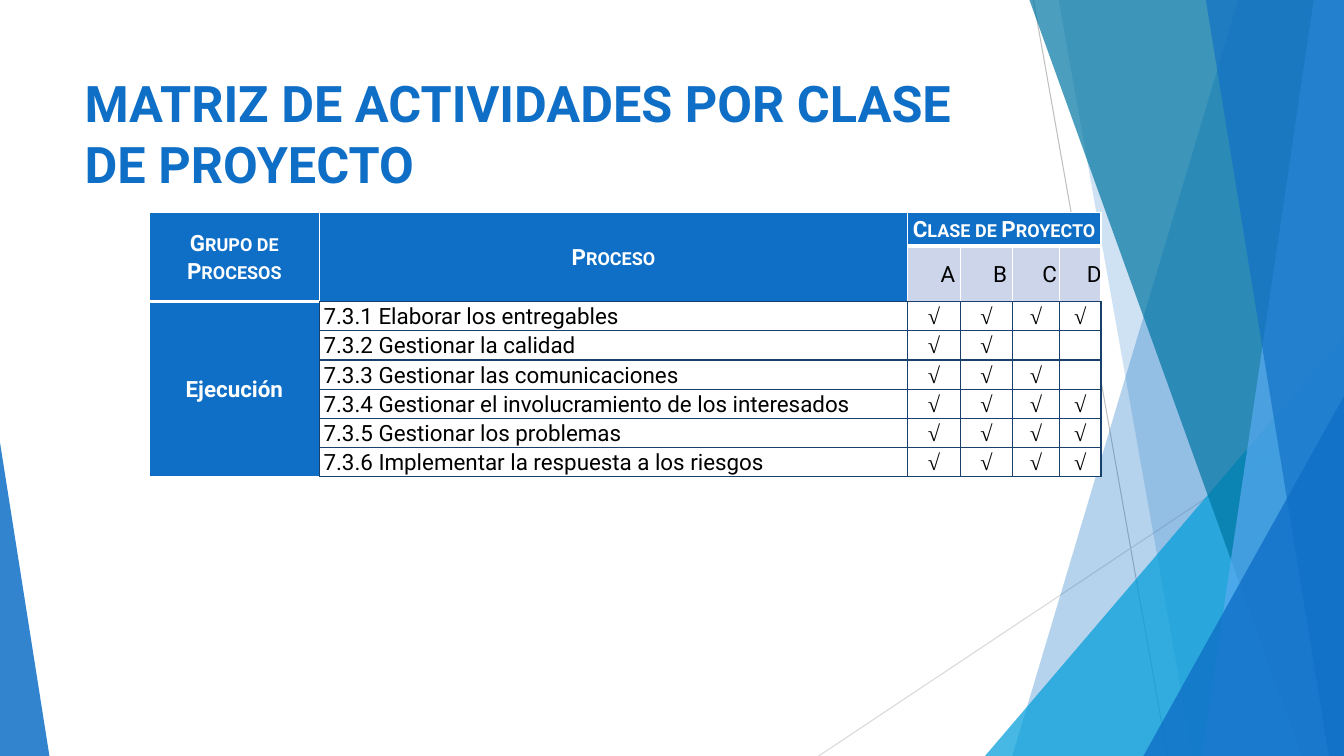
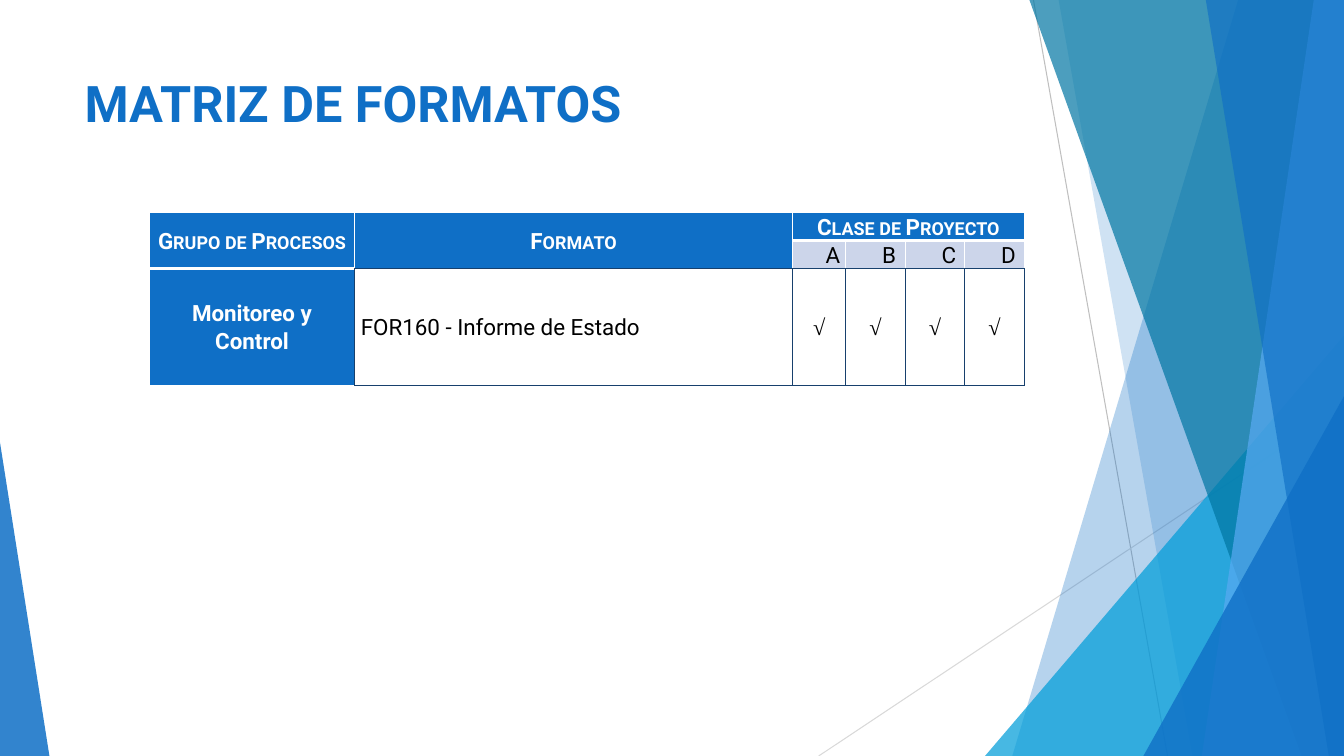
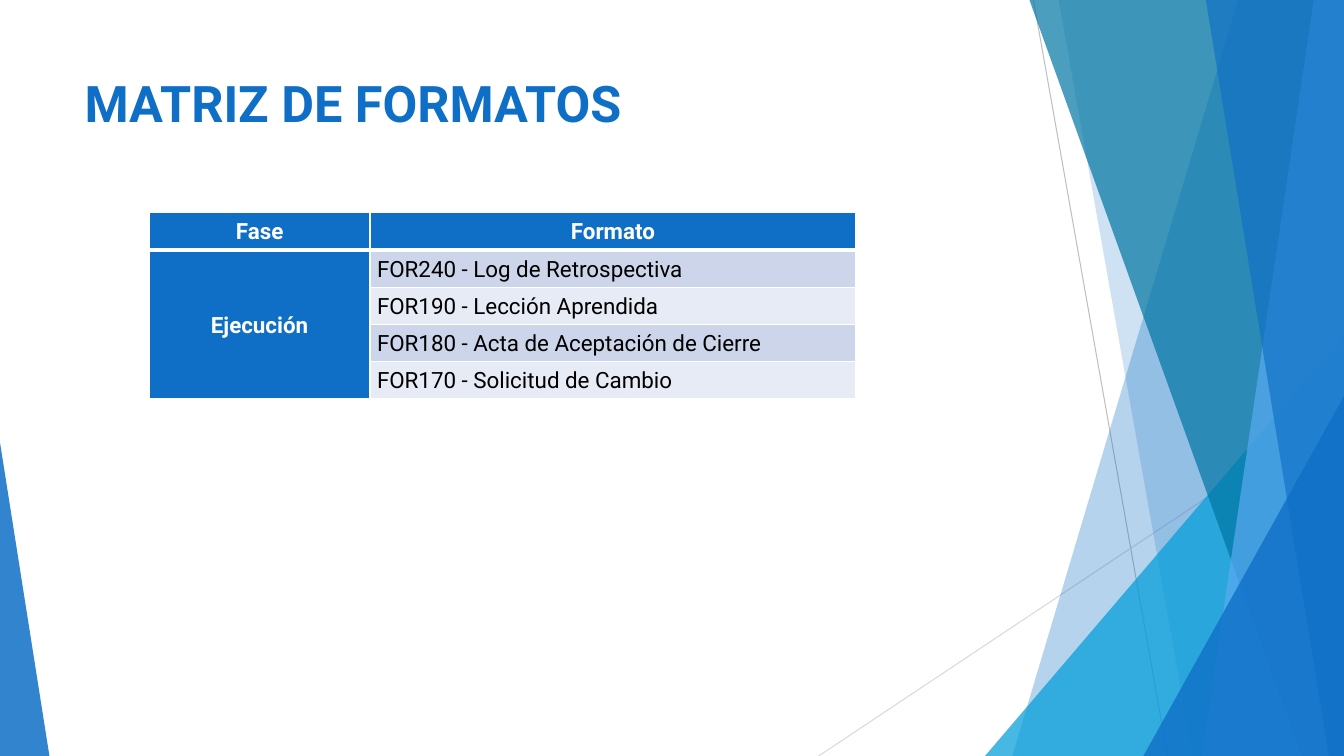
import dataclasses

import pptx
import pptx.dml.color
import pptx.enum.shapes
import pptx.enum.text
import pptx.oxml
import pptx.oxml.ns
import pptx.util

Inches, Pt = pptx.util.Inches, pptx.util.Pt
RGBColor = pptx.dml.color.RGBColor
MSO_SHAPE = pptx.enum.shapes.MSO_SHAPE
PP_ALIGN = pptx.enum.text.PP_ALIGN
MSO_ANCHOR = pptx.enum.text.MSO_ANCHOR

BLUE = RGBColor(0x0F, 0x6F, 0xC6)
CYAN = RGBColor(0x00, 0x9D, 0xD9)
TEAL = RGBColor(0x00, 0x76, 0xA3)
SKY = RGBColor(0x59, 0xAA, 0xF2)
NAVY = RGBColor(0x17, 0x40, 0x6D)
LAVENDER = RGBColor(0xCC, 0xD5, 0xEA)
PALE = RGBColor(0xE7, 0xEB, 0xF5)
GREY = RGBColor(0xBF, 0xBF, 0xBF)
LIGHT_GREY = RGBColor(0xD9, 0xD9, 0xD9)
WHITE = RGBColor(0xFF, 0xFF, 0xFF)
BLACK = RGBColor(0, 0, 0)

WIDTH, HEIGHT = 13.33, 7.5
TABLE_LEFT, TABLE_TOP = 1.48, 2.11
FONT = "Roboto"
CLASSES = "ABCD"

# Start and end of each thin line
LINES = [
    ((10.25, 0), (11.58, HEIGHT), GREY),
    ((WIDTH, 4.03), (8.12, HEIGHT), LIGHT_GREY),
]
# Facets from back to front. A band has its left edge at top and bottom;
# a triangle has left, top, width and the place of its tip.
FACETS = [
    ("band", (12.28, 10.04), BLUE, 30),
    ("band", (10.5, 11.83), BLUE, 20),
    ("triangle", (9.77, 3.33, 3.56, 1), CYAN, 72),
    ("band", (10.21, 12.91), TEAL, 70),
    ("band", (13.03, 11.92), SKY, 70),
    ("band", (11.96, 13.18), BLUE, 65),
    ("triangle", (11.34, 3.93, 1.99, 1), BLUE, 80),
    ("triangle", (0, 4.39, 0.49, 0), BLUE, 85),
]

ACTIVITIES = {
    "title": "MATRIZ DE ACTIVIDADES POR CLASE DE PROYECTO",
    "heading": "Proceso",
    "group": "Ejecución",
    "items": [
        ("7.3.1 Elaborar los entregables", "ABCD"),
        ("7.3.2 Gestionar la calidad", "AB"),
        ("7.3.3 Gestionar las comunicaciones", "ABC"),
        ("7.3.4 Gestionar el involucramiento de los interesados", "ABCD"),
        ("7.3.5 Gestionar los problemas", "ABCD"),
        ("7.3.6 Implementar la respuesta a los riesgos", "ABCD"),
    ],
    "cols": [1.69, 5.83, 0.53, 0.51, 0.47, 0.41],
    "rows": [0.33] + [0.29] * 7,
    "pad": 0.04,
}
STATUS_FORMS = {
    "title": "MATRIZ DE FORMATOS",
    "heading": "Formato",
    "group": "Monitoreo y Control",
    "items": [("FOR160 - Informe de Estado", "ABCD")],
    "cols": [2.04, 4.34, 0.53, 0.59, 0.59, 0.59],
    "rows": [0.18, 0.27, 1.16],
    "pad": 0.06,
}
PHASE_FORMS = {
    "title": "MATRIZ DE FORMATOS",
    "headings": ["Fase", "Formato"],
    "group": "Ejecución",
    "items": [
        "FOR240 - Log de Retrospectiva",
        "FOR190 - Lección Aprendida",
        "FOR180 - Acta de Aceptación de Cierre",
        "FOR170 - Solicitud de Cambio",
    ],
    "cols": [2.19, 4.82],
    "rows": [0.37] * 5,
    "pad": 0.07,
}


@dataclasses.dataclass
class CellStyle:
    fill: RGBColor
    color: RGBColor = BLACK
    bold: bool = False
    small_caps: bool = False
    font: str = FONT
    align: PP_ALIGN = PP_ALIGN.CENTER
    indent: float = 0
    padded: bool = True
    # Colour and width of the left, top, right and bottom borders
    borders: tuple = ((WHITE, 1),) * 4


THIN, THICK, DARK = (WHITE, 1), (WHITE, 3), (NAVY, 1)
GROUP = CellStyle(BLUE, WHITE, True)
HEAD = dataclasses.replace(GROUP, borders=(THIN, THIN, THIN, THICK))
CAPS_HEAD = dataclasses.replace(HEAD, small_caps=True)
CLASS_HEAD = dataclasses.replace(CAPS_HEAD, padded=False)
ITEM_HEAD = dataclasses.replace(CAPS_HEAD, borders=(THIN, THIN, THIN, DARK))
LETTER = CellStyle(LAVENDER, indent=0.13, padded=False, small_caps=True,
                   borders=(THIN, THIN, THIN, DARK))
MATRIX_GROUP = dataclasses.replace(GROUP, borders=(THIN, THIN, DARK, THIN))
ITEM = CellStyle(WHITE, align=PP_ALIGN.LEFT, borders=(DARK,) * 4)
CHECK = CellStyle(WHITE, font="Times New Roman", padded=False, borders=(DARK,) * 4)
BANDS = [CellStyle(fill, align=PP_ALIGN.LEFT) for fill in (LAVENDER, PALE)]


def add_band(s, top_x, bottom_x):
    builder = s.shapes.build_freeform(Inches(top_x), 0)
    corners = [(WIDTH, 0), (WIDTH, HEIGHT), (bottom_x, HEIGHT)]
    builder.add_line_segments([(Inches(x), Inches(y)) for x, y in corners])
    return builder.convert_to_shape()


def add_triangle(s, left, top, width, tip):
    triangle = s.shapes.add_shape(
        MSO_SHAPE.ISOSCELES_TRIANGLE,
        Inches(left), Inches(top), Inches(width), Inches(HEIGHT - top))
    triangle.adjustments[0] = tip
    return triangle


def decorate(prs, layout):
    """Draw the facets on a passing slide and move them into the layout."""
    s = prs.slides.add_slide(layout)
    title = s.shapes.title
    drawn = []
    for start, end, color in LINES:
        line = s.shapes.add_connector(
            pptx.enum.shapes.MSO_CONNECTOR.STRAIGHT,
            *(Inches(v) for v in start + end))
        line.line.color.rgb = color
        line.line.width = Pt(0.75)
        pptx.oxml.ns.qn("a:effectLst")
        line.element.spPr.append(pptx.oxml.parse_xml(
            f"<a:effectLst {pptx.oxml.ns.nsdecls('a')}/>"))
        drawn.append(line)
    for kind, geometry, color, opacity in FACETS:
        facet = (add_band if kind == "band" else add_triangle)(s, *geometry)
        facet.shadow.inherit = False
        facet.line.fill.background()
        facet.fill.solid()
        facet.fill.fore_color.rgb = color
        rgb = facet.element.spPr.find(".//" + pptx.oxml.ns.qn("a:srgbClr"))
        rgb.append(pptx.oxml.parse_xml(
            f"<a:alpha {pptx.oxml.ns.nsdecls('a')} val='{opacity * 1000}'/>"))
        drawn.append(facet)
    first = layout.placeholders[0].element
    for shape in drawn:
        first.addprevious(shape.element)
    return s


def set_title(s, text):
    tf = s.shapes.title.text_frame
    tf.text = text
    tf.vertical_anchor = MSO_ANCHOR.TOP
    tf.auto_size = pptx.enum.text.MSO_AUTO_SIZE.NONE
    p = tf.paragraphs[0]
    p.alignment = PP_ALIGN.LEFT
    p.font.name, p.font.size, p.font.bold = FONT, Pt(36), True
    p.font.color.rgb = BLUE


def set_borders(cell, borders):
    tcPr = cell._tc.get_or_add_tcPr()
    for place, (side, (color, width)) in enumerate(zip("LTRB", borders)):
        tcPr.insert(place, pptx.oxml.parse_xml(
            f"<a:ln{side} {pptx.oxml.ns.nsdecls('a')} w='{Pt(width)}'>"
            f"<a:solidFill><a:srgbClr val='{color}'/></a:solidFill></a:ln{side}>"))


def format_cell(cell, text, style, pad):
    side = pad if style.padded else 0
    cell.margin_left, cell.margin_right = Inches(side + style.indent), Inches(side)
    cell.margin_top = cell.margin_bottom = 0
    cell.vertical_anchor = MSO_ANCHOR.MIDDLE
    cell.fill.solid()
    cell.fill.fore_color.rgb = style.fill
    set_borders(cell, style.borders)
    p = cell.text_frame.paragraphs[0]
    p.alignment = style.align
    p.line_spacing = 1.07
    p.font.name, p.font.size, p.font.bold = style.font, Pt(16), style.bold
    p.font.color.rgb = style.color
    if style.small_caps:
        p.font._element.set("cap", "small")
    if text:
        p.add_run().text = text
    else:
        p._p.append(pptx.oxml.parse_xml(
            f"<a:endParaRPr {pptx.oxml.ns.nsdecls('a')} sz='1600'/>"))


def add_grid(s, content, cells):
    """Add a table; each cell is row, column, text, style, rows and columns."""
    cols, rows = content["cols"], content["rows"]
    table = s.shapes.add_table(
        len(rows), len(cols), Inches(TABLE_LEFT), Inches(TABLE_TOP),
        Inches(sum(cols)), Inches(sum(rows))).table
    table.first_row = table.horz_banding = False
    for column, width in zip(table.columns, cols):
        column.width = Inches(width)
    for row, height in zip(table.rows, rows):
        row.height = Inches(height)
    for top, left, text, style, tall, wide in cells:
        for r in range(top, top + tall):
            for c in range(left, left + wide):
                shown = text if (r, c) == (top, left) else ""
                format_cell(table.cell(r, c), shown, style, content["pad"])
        if tall * wide > 1:
            table.cell(top, left).merge(table.cell(top + tall - 1, left + wide - 1))


def class_matrix(content):
    items = content["items"]
    cells = [
        (0, 0, "Grupo de Procesos", CAPS_HEAD, 2, 1),
        (0, 1, content["heading"], ITEM_HEAD, 2, 1),
        (0, 2, "Clase de Proyecto", CLASS_HEAD, 1, len(CLASSES)),
        (2, 0, content["group"], MATRIX_GROUP, len(items), 1),
    ]
    cells += [(1, c, name, LETTER, 1, 1) for c, name in enumerate(CLASSES, 2)]
    for r, (item, marked) in enumerate(items, 2):
        cells.append((r, 1, item, ITEM, 1, 1))
        cells += [(r, c, "√" if name in marked else "", CHECK, 1, 1)
                  for c, name in enumerate(CLASSES, 2)]
    return cells


def phase_list(content):
    items = content["items"]
    cells = [(0, c, text, HEAD, 1, 1) for c, text in enumerate(content["headings"])]
    cells.append((1, 0, content["group"], GROUP, len(items), 1))
    cells += [(r, 1, item, BANDS[(r - 1) % 2], 1, 1)
              for r, item in enumerate(items, 1)]
    return cells


def main():
    prs = pptx.Presentation()
    prs.slide_width, prs.slide_height = Inches(WIDTH), Inches(HEIGHT)
    layout = prs.slide_layouts.get_by_name("Title Only")
    title = layout.placeholders[0]
    title.left, title.top = Inches(0.74), Inches(0.67)
    title.width, title.height = Inches(9.4), Inches(1.44)

    first = decorate(prs, layout)
    pages = [(ACTIVITIES, class_matrix), (STATUS_FORMS, class_matrix),
             (PHASE_FORMS, phase_list)]
    for number, (content, arrange) in enumerate(pages):
        s = prs.slides.add_slide(layout) if number else first
        set_title(s, content["title"])
        add_grid(s, content, arrange(content))
    prs.save("out.pptx")


if __name__ == "__main__":
    main()
